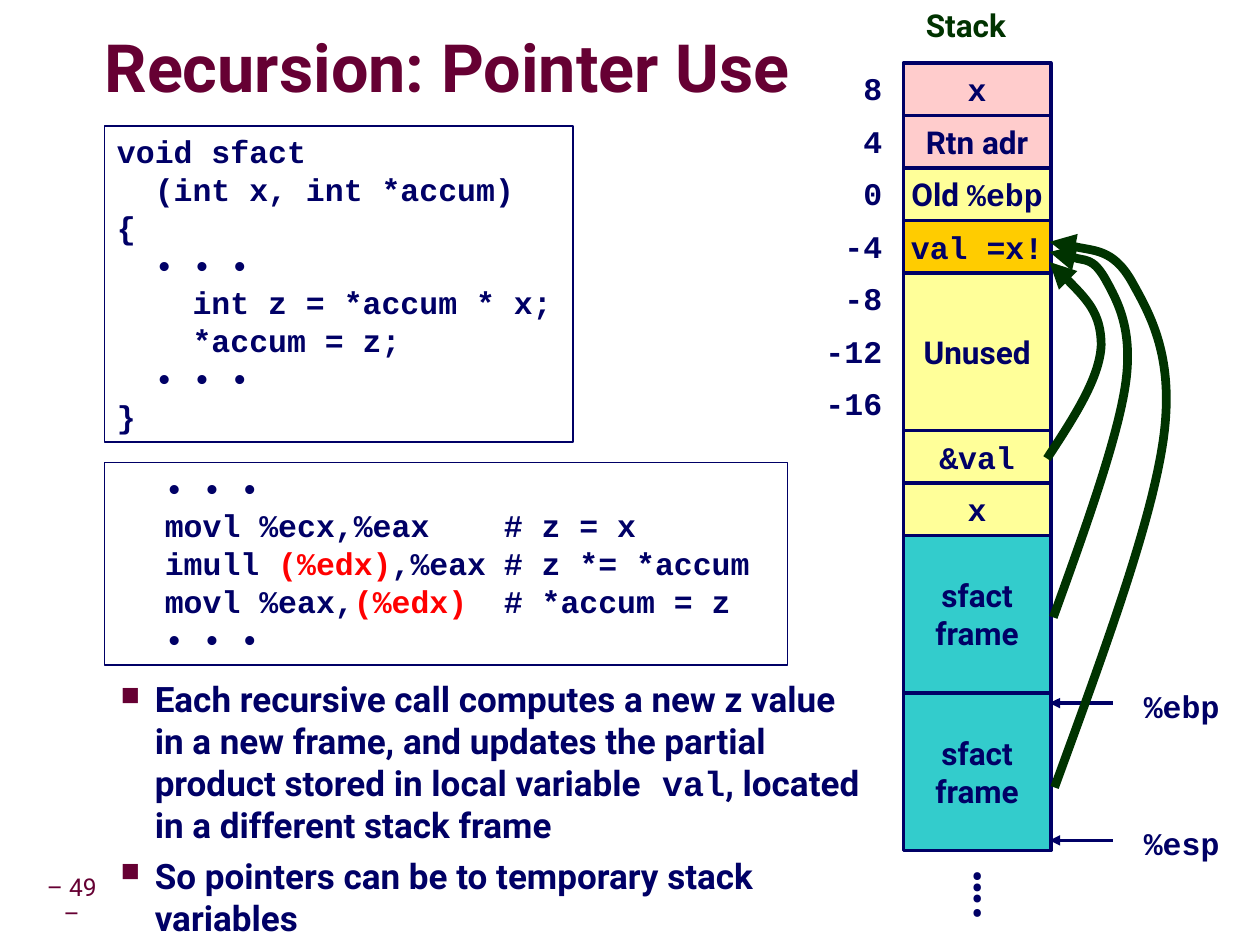
from dataclasses import dataclass

from lxml import etree
from pptx import Presentation
from pptx.dml.color import RGBColor
from pptx.enum.shapes import MSO_CONNECTOR, MSO_SHAPE
from pptx.enum.text import MSO_ANCHOR, MSO_AUTO_SIZE, PP_ALIGN
from pptx.oxml import parse_xml
from pptx.oxml.ns import nsdecls, qn
from pptx.util import Inches, Pt

LEFT, CENTER, RIGHT = PP_ALIGN.LEFT, PP_ALIGN.CENTER, PP_ALIGN.RIGHT
TOP, MIDDLE = MSO_ANCHOR.TOP, MSO_ANCHOR.MIDDLE
RECTANGLE, STRAIGHT = MSO_SHAPE.RECTANGLE, MSO_CONNECTOR.STRAIGHT
NO_FIT, GROW = MSO_AUTO_SIZE.NONE, MSO_AUTO_SIZE.SHAPE_TO_FIT_TEXT


@dataclass(frozen=True)
class Theme:
    sans: str = "Roboto"
    mono: str = "Courier New"
    navy: str = "000066"
    maroon: str = "660033"
    green: str = "003300"
    red: str = "FF0000"
    pink: str = "FFCCCC"
    yellow: str = "FFFF99"
    orange: str = "FFCC00"
    teal: str = "33CCCC"
    title_size: int = 38
    dots_size: int = 28
    body_size: int = 20
    label_size: int = 18
    number_size: int = 14


THEME = Theme()


def mono(text, color=THEME.navy):
    return text, THEME.mono, color


def sans(text, color=THEME.navy):
    return text, THEME.sans, color


class SlideBuilder:
    """Holds the theme and the current slide; one method per kind of element."""

    def __init__(self, slide, theme):
        self.slide, self.theme = slide, theme

    def fill_text(self, frame, paragraphs, size=None, bold=True, align=LEFT,
                  anchor=TOP, wrap=True, spacing=None):
        frame.word_wrap = wrap
        frame.vertical_anchor = anchor
        for index, runs in enumerate(paragraphs):
            paragraph = frame.add_paragraph() if index else frame.paragraphs[0]
            paragraph.alignment = align
            if spacing:
                paragraph.line_spacing = spacing
            for text, font, color in runs:
                run = paragraph.add_run()
                run.text = text
                run.font.name = font
                run.font.size = Pt(size or self.theme.label_size)
                run.font.bold = bold
                run.font.color.rgb = RGBColor.from_string(color)

    def title(self, text, left, top, width, height):
        title = self.slide.shapes.title
        title.left, title.top = Inches(left), Inches(top)
        title.width, title.height = Inches(width), Inches(height)
        frame = title.text_frame
        frame.auto_size = NO_FIT
        frame.margin_left = frame.margin_right = 0
        frame.margin_top = frame.margin_bottom = 0
        self.fill_text(frame, [[sans(text, self.theme.maroon)]],
                       self.theme.title_size, anchor=MIDDLE, spacing=0.87)
        fill = frame.paragraphs[0].runs[0].font._element.find(qn("a:solidFill"))
        fill.addnext(parse_xml(
            f'<a:effectLst {nsdecls("a")}><a:outerShdw blurRad="38100" dist="38100" '
            'dir="2700000"><a:srgbClr val="C0C0C0"/></a:outerShdw></a:effectLst>'))

    def text(self, paragraphs, left, top, width, height, fit=NO_FIT, **style):
        box = self.slide.shapes.add_textbox(
            Inches(left), Inches(top), Inches(width), Inches(height))
        self.fill_text(box.text_frame, paragraphs, **style)
        box.text_frame.auto_size = fit
        return box

    def rectangle(self, paragraphs, left, top, width, height,
                  fill=None, line=1, **style):
        shape = self.slide.shapes.add_shape(
            RECTANGLE, Inches(left), Inches(top), Inches(width), Inches(height))
        shape.shadow.inherit = False
        if fill:
            shape.fill.solid()
            shape.fill.fore_color.rgb = RGBColor.from_string(fill)
        else:
            shape.fill.background()
        self.outline(shape, self.theme.navy, line)
        self.fill_text(shape.text_frame, paragraphs, **style)
        return shape

    def outline(self, shape, color, width, arrow=False):
        shape.line.color.rgb = RGBColor.from_string(color)
        shape.line.width = Pt(width)
        if arrow:
            line = shape.line._get_or_add_ln()
            etree.SubElement(line, qn("a:tailEnd"), type="triangle")

    def arrow(self, start, end):
        line = self.slide.shapes.add_connector(
            STRAIGHT, *(Inches(value) for value in (*start, *end)))
        self.outline(line, self.theme.navy, 2, arrow=True)
        etree.SubElement(line._element.spPr, qn("a:effectLst"))

    def curve(self, start, *points):
        """Draw a Bezier arrow; every three points make one segment."""
        emu = [(Inches(x), Inches(y)) for x, y in points]
        builder = self.slide.shapes.build_freeform(Inches(start[0]), Inches(start[1]))
        builder.add_line_segments(emu, close=False)
        shape = builder.convert_to_shape()
        outline = next(shape._element.iter(qn("a:path")))
        segments = outline.findall(qn("a:lnTo"))
        for first in range(0, len(segments), 3):
            bezier = etree.SubElement(outline, qn("a:cubicBezTo"))
            for segment in segments[first:first + 3]:
                bezier.append(segment[0])
                outline.remove(segment)
        shape.shadow.inherit = False
        shape.fill.background()
        self.outline(shape, self.theme.green, 5, arrow=True)

    def tabs(self, shape, *stops):
        for paragraph in shape.text_frame.paragraphs:
            tab_list = etree.SubElement(
                paragraph._p.get_or_add_pPr(), qn("a:tabLst"))
            for stop in stops:
                etree.SubElement(tab_list, qn("a:tab"), pos=str(Inches(stop)), algn="l")

    def bullets(self, shape, indent, hanging):
        for index, paragraph in enumerate(shape.text_frame.paragraphs):
            if index:
                paragraph.space_before = Pt(5)
            properties = paragraph._p.get_or_add_pPr()
            properties.set("marL", str(Inches(indent)))
            properties.set("indent", str(-Inches(hanging)))
            color = etree.SubElement(properties, qn("a:buClr"))
            etree.SubElement(color, qn("a:srgbClr"), val=self.theme.maroon)
            etree.SubElement(properties, qn("a:buSzPct"), val="75000")
            etree.SubElement(properties, qn("a:buChar"), char="■")


def main():
    presentation = Presentation()
    presentation.slide_width, presentation.slide_height = Inches(10), Inches(7.5)
    slide = presentation.slides.add_slide(presentation.slide_layouts[5])
    page = SlideBuilder(slide, THEME)

    # Title and slide number
    page.title("Recursion: Pointer Use", 0.83, 0.25, 5.86, 0.63)
    number = page.text([[sans("– 49 –", THEME.maroon)]], 0.24, 7, 0.66, 0.31,
                       size=THEME.number_size, bold=False, align=CENTER,
                       anchor=MIDDLE, spacing=0.9)
    number.text_frame.margin_left = number.text_frame.margin_right = Inches(0.05)

    # Assembly and C code
    assembly = page.rectangle([
        [mono("\t• • •")],
        [mono("\tmovl %ecx,%eax\t# z = x")],
        [mono("\timull "), mono("(%edx)", THEME.red), mono(",%eax\t# z *= *accum")],
        [mono("\tmovl %eax,"), mono("(%edx)", THEME.red), mono("\t# *accum = z")],
        [mono("\t• • •")],
    ], 0.83, 3.67, 5.42, 1.61)
    page.tabs(assembly, 0.38, 3.07)
    c_lines = ["void sfact", "  (int x, int *accum)", "{", "  • • •",
               "    int z = *accum * x;", "    *accum = z;", "  • • •", "}"]
    page.rectangle([[mono(line)] for line in c_lines], 0.83, 1, 3.72, 2.51)

    # Explanation
    explanation = page.text([
        [sans("Each recursive call computes a new z value in a new frame, and "
              "updates the partial product stored in local variable"),
         mono(" val"), sans(", located in a different stack frame")],
        [sans("So pointers can be to temporary stack variables")],
    ], 0.32, 5.33, 6.68, 1.27, size=THEME.body_size)
    page.bullets(explanation, 0.81, 0.27)

    # Stack cells: text, colour, height in rows
    stack_left, stack_top, stack_width, row = 7.17, 0.5, 1.17, 1.25 / 3
    frame_text = [[sans("sfact")], [sans("frame")]]
    cells = [
        ([[mono("x")]], THEME.pink, 1),
        ([[sans("Rtn adr")]], THEME.pink, 1),
        ([[sans("Old "), mono("%ebp")]], THEME.yellow, 1),
        ([[mono("val =x!")]], THEME.orange, 1),
        ([[sans("Unused")]], THEME.yellow, 3),
        ([[mono("&val")]], THEME.yellow, 1),
        ([[mono("x")]], THEME.yellow, 1),
        (frame_text, THEME.teal, 3),
        (frame_text, THEME.teal, 3),
    ]
    top = stack_top
    for paragraphs, fill, rows in cells:
        page.rectangle(paragraphs, stack_left, top, stack_width, rows * row, fill,
                       line=2, align=CENTER, anchor=MIDDLE, wrap=False)
        top += rows * row

    # Stack heading, offsets and continuation dots
    page.text([[sans("Stack", THEME.green)]], 7.25, 0, 0.88, 0.4, GROW, wrap=False)
    for index, offset in enumerate(range(8, -17, -4)):
        page.text([[mono(str(offset))]], 6.45, stack_top + index * row, 0.65, 0.4,
                  align=RIGHT)
    dots = page.text([[sans("….")]], 7.5, 6.84, 0.7, 0.53, GROW, wrap=False,
                     size=THEME.dots_size, align=CENTER, spacing=0.9)
    dots.rotation = 90

    # Register pointers
    for register, y in (("%ebp", 5.58), ("%esp", 6.67)):
        page.arrow((8.83, y), (8.33, y))
        page.text([[mono(register)]], 8.98, y - 0.18, 0.8, 0.4, GROW, wrap=False)

    # Pointers back to val
    page.curve((8.31, 3.64), (8.52, 3.32), (8.73, 3), (8.74, 2.74),
               (8.74, 2.48), (8.54, 2.28), (8.33, 2.08))
    page.curve((8.36, 4.9), (8.61, 4.21), (8.86, 3.51), (8.93, 3.07),
               (9, 2.62), (8.87, 2.39), (8.77, 2.21),
               (8.67, 2.04), (8.33, 2), (8.33, 2))
    page.curve((8.37, 6.25), (8.75, 5.21), (9.13, 4.18), (9.23, 3.51),
               (9.33, 2.84), (9.13, 2.5), (8.98, 2.23),
               (8.83, 1.97), (8.33, 1.92), (8.33, 1.92))

    presentation.save("out.pptx")


if __name__ == "__main__":
    main()
